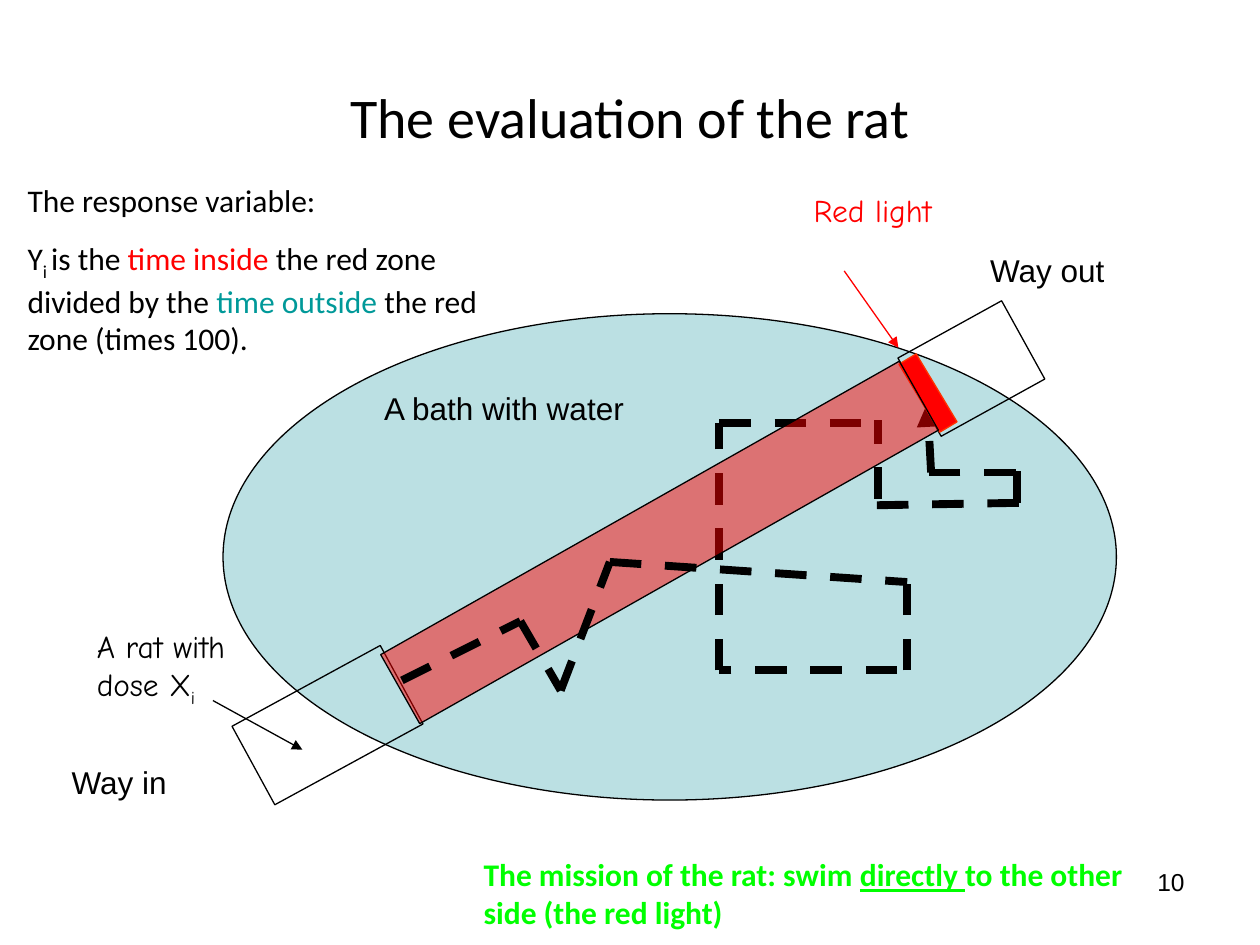
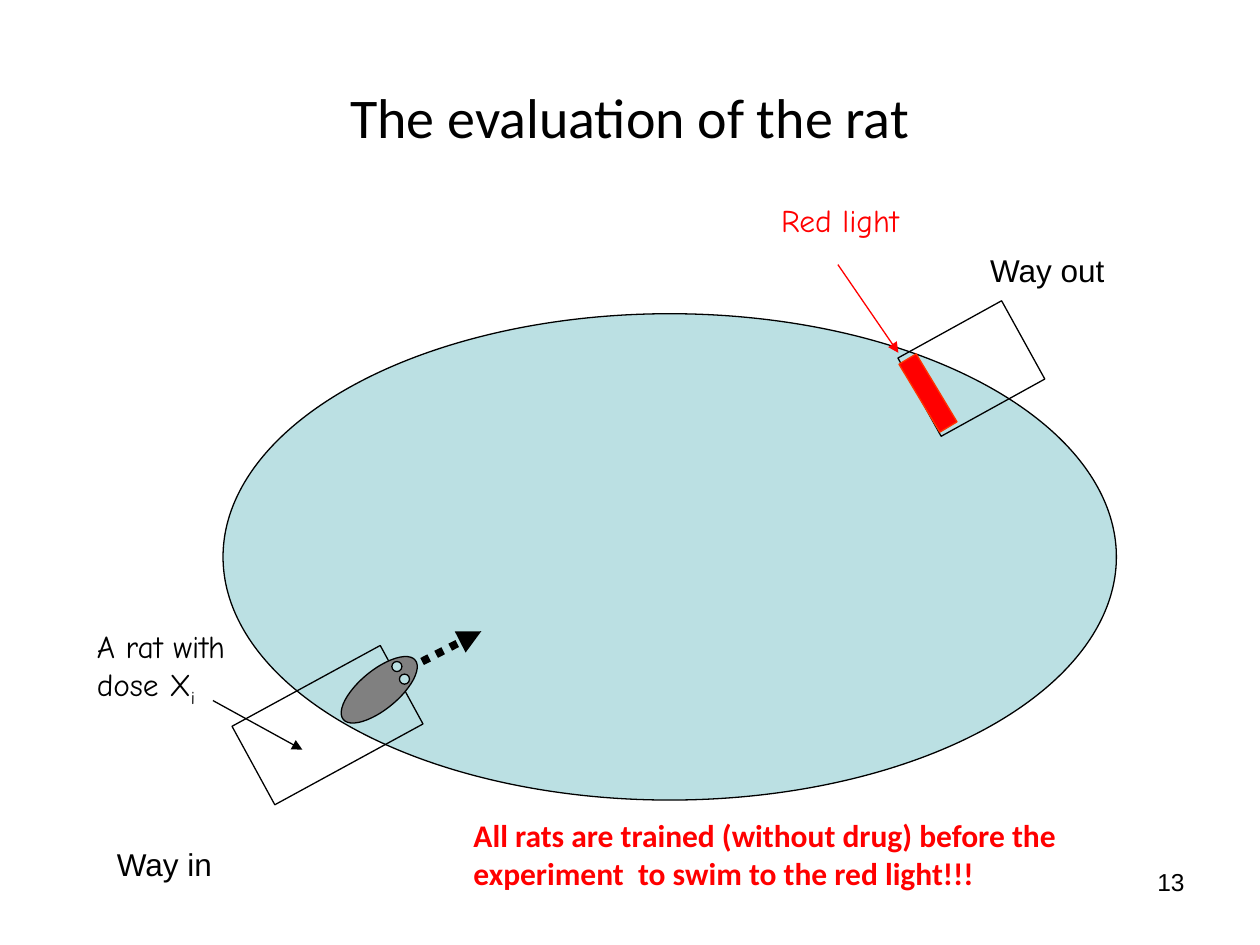
from lxml.etree import SubElement
from pptx import Presentation
from pptx.dml.color import RGBColor
from pptx.enum.dml import MSO_LINE
from pptx.enum.shapes import MSO_CONNECTOR, MSO_SHAPE
from pptx.enum.text import MSO_ANCHOR, PP_ALIGN
from pptx.oxml.ns import qn
from pptx.util import Inches, Pt

WIDTH, HEIGHT = Inches(10), Inches(7.5)
COL, ROW = WIDTH / 100, HEIGHT / 75

COLORS = {
    "ink": "000000",
    "water": "BBE0E3",
    "red": "FF0000",
    "red_edge": "FF3300",
    "fur": "808080",
    "teal": "009999",
    "green": "00FF00",
}
TITLE_FONT, LABEL_FONT, NOTE_FONT = "Calibri", "Arial", "Comic Neue"
TITLE = "The evaluation of the rat"

SWIM_OUTSIDE = [
    [(72, 53.2), (72, 44.6)],
    [(71.2, 53.2), (57.1, 53.2), (57.1, 33.6), (68.9, 33.6)],
    [(69.7, 39.6), (69.7, 33.3)],
    [(69.6, 40.1), (81.5, 39.9)],
    [(80.7, 39.9), (80.7, 36.7)],
    [(80.6, 37.5), (72.7, 37.5)],
]
SWIM_LAST_LEG = (73.9, 37.5), (73.6, 32)
SWIM_START = [(31.9, 54), (41.3, 49.3), (44.5, 54.8), (48.4, 44.6), (72, 46.2)]


def rgb(name):
    return RGBColor.from_string(COLORS[name])


def grid(x, y):
    return round(x * COL), round(y * ROW)


def add_run(p, text, size=18, font=LABEL_FONT, color="ink", bold=False,
            underline=False, subscript=False):
    r = p.add_run()
    r.text = text
    r.font.size = Pt(size)
    r.font.name = font
    r.font.bold = bold
    r.font.underline = underline
    r.font.color.rgb = rgb(color)
    if subscript:
        r._r.get_or_add_rPr().set("baseline", "-25000")


def add_text(s, box, *paragraphs, align=PP_ALIGN.LEFT, **style):
    sp = s.shapes.add_textbox(*grid(*box[:2]), *grid(*box[2:]))
    tf = sp.text_frame
    tf.word_wrap = True
    for i, runs in enumerate(paragraphs):
        p = tf.add_paragraph() if i else tf.paragraphs[0]
        p.alignment = align
        p.space_before = Pt(11.2 if i else 0)
        for text, extra in [(runs, {})] if isinstance(runs, str) else runs:
            add_run(p, text, **{**style, **extra})


def add_figure(s, kind, box, fill=None, line="ink", rotation=0, alpha=None):
    sp = s.shapes.add_shape(kind, *grid(*box[:2]), *grid(*box[2:]))
    sp.shadow.inherit = False
    sp.rotation = rotation
    sp.line.color.rgb = rgb(line)
    sp.line.width = Pt(0.75)
    if fill is None:
        sp.fill.background()
        return
    sp.fill.solid()
    sp.fill.fore_color.rgb = rgb(fill)
    if alpha:
        color = sp._element.spPr.find(f"{qn('a:solidFill')}/{qn('a:srgbClr')}")
        SubElement(color, qn("a:alpha"), val=str(alpha * 1000))


def add_line(s, start, end, color="ink", width=0.75, dash=None, arrow=True):
    c = s.shapes.add_connector(MSO_CONNECTOR.STRAIGHT, *grid(*start), *grid(*end))
    c.line.color.rgb = rgb(color)
    c.line.width = Pt(width)
    if dash:
        c.line.dash_style = dash
    if arrow:
        SubElement(c.line._get_or_add_ln(), qn("a:tailEnd"), type="triangle")
    SubElement(c._element.spPr, qn("a:effectLst"))


def add_swim(s, points):
    for start, end in zip(points, points[1:]):
        add_line(s, start, end, width=4.5, dash=MSO_LINE.DASH, arrow=False)


def add_red_light(s, label_at, arrow_from, arrow_to):
    add_figure(s, MSO_SHAPE.RECTANGLE, (70.5, 30.4, 6.3, 1.6), "red", "red_edge", 59)
    add_text(s, (*label_at, 11.8, 4), "Red light", font=NOTE_FONT, color="red")
    add_line(s, arrow_from, arrow_to, "red")


def add_bath_slide(prs, number, way_in_at):
    s = prs.slides.add_slide(prs.slide_layouts[5])
    title = s.shapes.title
    title.left, title.top = grid(5, 3)
    title.width, title.height = grid(90, 12.5)
    title.text_frame.vertical_anchor = MSO_ANCHOR.MIDDLE
    p = title.text_frame.paragraphs[0]
    p.alignment = PP_ALIGN.CENTER
    add_run(p, TITLE, size=32, font=TITLE_FONT)

    add_figure(s, MSO_SHAPE.OVAL, (17.7, 24.9, 70.9, 38.6), "water")
    add_figure(s, MSO_SHAPE.RECTANGLE, (19.3, 54, 13.4, 7.1), rotation=331.4)
    add_figure(s, MSO_SHAPE.RECTANGLE, (72.4, 25.7, 9.4, 7.1), rotation=331.1)
    add_text(s, (77.6, 19.4, 11.8, 4), "Way out")
    add_text(s, (*way_in_at, 15, 4), "Way in")
    add_text(s, (6.7, 49.3, 14.2, 7.4),
             [("A rat with dose X", {}), ("i", {"subscript": True})], font=NOTE_FONT)
    add_line(s, (16.9, 55.6), (24, 59.5))
    add_text(s, (71.7, 68.3, 23.3, 5.2), str(number), align=PP_ALIGN.RIGHT, size=14)
    return s


def add_response_slide(prs):
    s = add_bath_slide(prs, 10, (4.7, 60.1))
    for points in SWIM_OUTSIDE:
        add_swim(s, points)
    add_line(s, *SWIM_LAST_LEG, width=4.5, dash=MSO_LINE.DASH)
    add_red_light(s, (63.6, 14.7), (67, 21.5), (71.3, 27.6))
    add_figure(s, MSO_SHAPE.RECTANGLE, (28.7, 39.9, 47.3, 6.3), "red",
               rotation=330.5, alpha=49)
    add_swim(s, SWIM_START)
    add_text(s, (29.5, 30.4, 22, 4), "A bath with water")
    add_text(s, (1.2, 13.9, 40.9, 15),
             "The response variable:",
             [("Y", {}), ("i ", {"subscript": True}), ("is the ", {}),
              ("time inside", {"color": "red"}),
              (" the red zone divided by the ", {}),
              ("time outside", {"color": "teal"}),
              (" the red zone (times 100).", {})],
             font=TITLE_FONT)
    add_text(s, (37.4, 67.4, 53.6, 7),
             [("The mission of the rat: swim ", {}),
              ("directly ", {"underline": True}),
              ("to the other side (the red light)", {})],
             font=TITLE_FONT, color="green", bold=True)


def add_training_slide(prs):
    s = add_bath_slide(prs, 13, (8.3, 66.6))
    add_red_light(s, (61, 15.5), (66.5, 21), (71.3, 28))
    add_figure(s, MSO_SHAPE.OVAL, (26.4, 53.2, 7.4, 3.1), "fur", rotation=320.5)
    for eye in [(31.1, 52.5), (31.7, 53.5)]:
        add_figure(s, MSO_SHAPE.OVAL, (*eye, 0.8, 0.8), "water")
    add_line(s, (33.5, 52.5), (38.2, 50.1), width=4.5, dash=MSO_LINE.ROUND_DOT)
    add_text(s, (36.6, 64.3, 58.3, 7),
             "All rats are trained (without drug) before the experiment  "
             "to swim to the red light!!!",
             font=TITLE_FONT, color="red", bold=True)


def main():
    prs = Presentation()
    prs.slide_width, prs.slide_height = WIDTH, HEIGHT
    add_response_slide(prs)
    add_training_slide(prs)
    prs.save("out.pptx")


if __name__ == "__main__":
    main()
